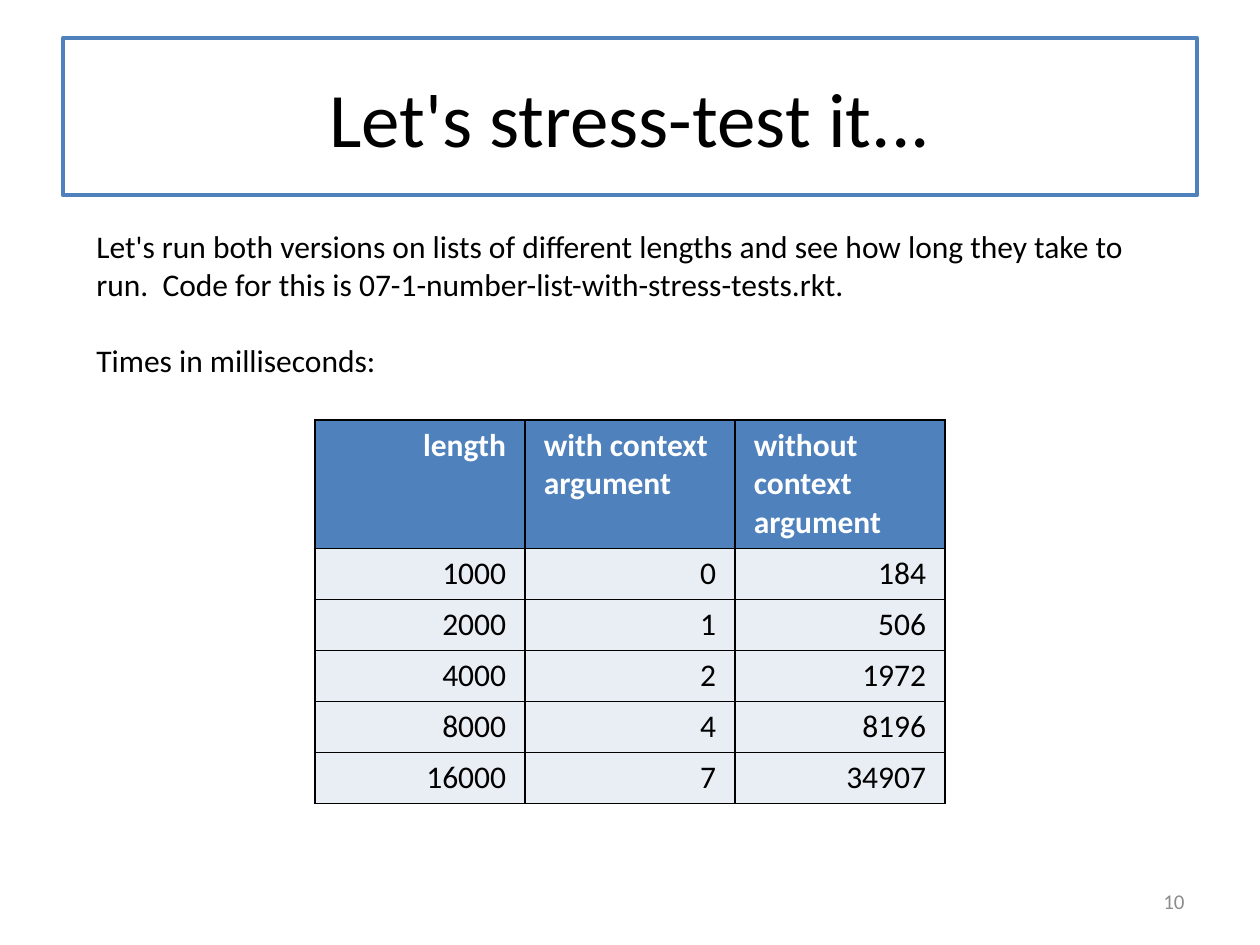
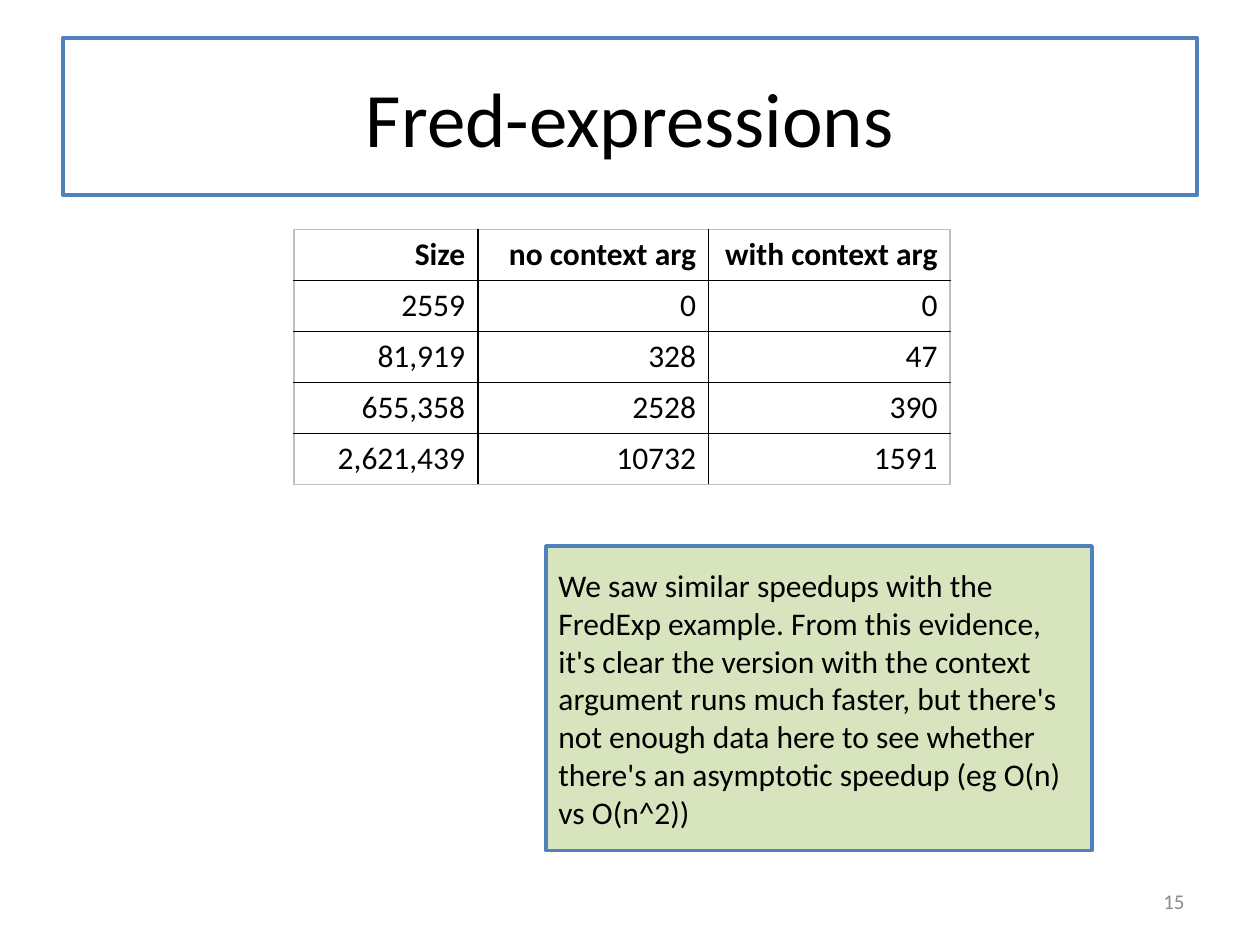
from lxml.etree import SubElement
from pptx import Presentation
from pptx.dml.color import RGBColor
from pptx.enum.shapes import MSO_SHAPE
from pptx.enum.text import MSO_ANCHOR, MSO_AUTO_SIZE, PP_ALIGN
from pptx.oxml.ns import qn
from pptx.util import Inches, Pt

GRID = Inches(10) / 60  # the slide is 60 columns by 45 rows
FONT = "Calibri"
BLACK, WHITE, GREY = "000000", "FFFFFF", "8C8C8C"
BLUE, PALE_BLUE, PALE_GREEN, SILVER = "4F81BD", "E9EDF4", "D7E4BD", "BFBFBF"
LEFT, CENTER, RIGHT = PP_ALIGN.LEFT, PP_ALIGN.CENTER, PP_ALIGN.RIGHT
TITLE_ONLY = 5
ROW_HEIGHT = 2.43

STRESS_TIMES = [
    ("length", "with context argument", "without context argument"),
    ("1000", "0", "184"),
    ("2000", "1", "506"),
    ("4000", "2", "1972"),
    ("8000", "4", "8196"),
    ("16000", "7", "34907"),
]
FRED_TIMES = [
    ("Size", "no context arg", "with context arg"),
    ("2559", "0", "0"),
    ("81,919", "328", "47"),
    ("655,358", "2528", "390"),
    ("2,621,439", "10732", "1591"),
]


def grid(*lengths):
    return [round(length * GRID) for length in lengths]


def color(hex_value):
    return RGBColor.from_string(hex_value)


def apply(target, values):
    for name, value in values.items():
        setattr(target, name, value)


def write(frame, paragraphs, size=18, ink=BLACK, bold=False, align=LEFT,
          anchor=MSO_ANCHOR.TOP, gap=0):
    """Fill a text frame, with gap points between its paragraphs."""
    apply(frame, {"word_wrap": True, "vertical_anchor": anchor})
    for index, text in enumerate(paragraphs):
        para = frame.add_paragraph() if index else frame.paragraphs[0]
        para.alignment = align
        if index:
            para.space_before = Pt(gap)
        span = para.add_run()
        span.text = text
        apply(span.font, {"name": FONT, "size": Pt(size), "bold": bold})
        span.font.color.rgb = color(ink)


def paint(shape, fill, line, width):
    shape.fill.solid()
    shape.fill.fore_color.rgb = color(fill)
    shape.line.color.rgb = color(line)
    shape.line.width = Pt(width)


def add_text(page, area, paragraphs, **style):
    box = page.shapes.add_textbox(*grid(*area))
    write(box.text_frame, paragraphs, **style)


def add_page(deck, title, number):
    page = deck.slides.add_slide(deck.slide_layouts[TITLE_ONLY])
    box = page.shapes.title
    left, top, width, height = grid(3, 1.8, 54, 7.5)
    apply(box, {"left": left, "top": top, "width": width, "height": height})
    paint(box, WHITE, BLUE, 2.25)
    box.text_frame.auto_size = MSO_AUTO_SIZE.NONE
    write(box.text_frame, [title], size=44, align=CENTER, anchor=MSO_ANCHOR.MIDDLE)
    add_text(page, (43, 41.7, 14, 2.4), [number], size=12, ink=GREY,
             align=RIGHT, anchor=MSO_ANCHOR.MIDDLE)
    return page


def add_note(page, area, text):
    box = page.shapes.add_shape(MSO_SHAPE.RECTANGLE, *grid(*area))
    box.shadow.inherit = False
    paint(box, PALE_GREEN, BLUE, 2)
    write(box.text_frame, [text], anchor=MSO_ANCHOR.MIDDLE)


def set_borders(cell, colors):
    """Draw 1 pt edges in left, right, top, bottom order."""
    properties = cell._tc.get_or_add_tcPr()
    for position, (side, hex_value) in enumerate(zip("LRTB", colors)):
        edge = SubElement(properties, qn(f"a:ln{side}"), w=str(Pt(1)))
        SubElement(SubElement(edge, qn("a:solidFill")), qn("a:srgbClr"), val=hex_value)
        properties.insert(position, edge)


def add_times_table(page, left, top, widths, rows, header_height=ROW_HEIGHT,
                    header_aligns=(RIGHT, RIGHT, RIGHT), header_ink=BLACK,
                    header_fill=None, body_fill=None, margin=0.6, outline=BLACK):
    heights = [header_height] + [ROW_HEIGHT] * (len(rows) - 1)
    area = grid(left, top, sum(widths), sum(heights))
    table = page.shapes.add_table(len(rows), len(widths), *area).table
    for column, width in zip(table.columns, grid(*widths)):
        column.width = width
    for row, height in zip(table.rows, grid(*heights)):
        row.height = height

    last_row, last_column = len(rows) - 1, len(widths) - 1
    side_margin, = grid(margin)
    for r, values in enumerate(rows):
        is_header = r == 0
        fill = header_fill if is_header else body_fill
        for c, value in enumerate(values):
            cell = table.cell(r, c)
            apply(cell, {"margin_left": side_margin, "margin_right": side_margin})
            if fill:
                cell.fill.solid()
                cell.fill.fore_color.rgb = color(fill)
            else:
                cell.fill.background()
            write(cell.text_frame, [value], bold=is_header,
                  ink=header_ink if is_header else BLACK,
                  align=header_aligns[c] if is_header else RIGHT)
            outer = (c == 0, c == last_column, r == 0, r == last_row)
            set_borders(cell, [outline if edge else BLACK for edge in outer])


def main():
    deck = Presentation()
    deck.slide_width, deck.slide_height = grid(60, 45)

    stress = add_page(deck, "Let's stress-test it...", "10")
    add_times_table(stress, 15, 20, [10] * 3, STRESS_TIMES, header_height=6.12,
                    header_aligns=(RIGHT, LEFT, LEFT), header_ink=WHITE,
                    header_fill=BLUE, body_fill=PALE_BLUE, margin=0.9)
    add_text(stress, (4, 10.5, 50.5, 7.86), [
        "Let's run both versions on lists of different lengths and see how long "
        "they take to run.  Code for this is 07-1-number-list-with-stress-tests.rkt.",
        "Times in milliseconds:",
    ], gap=22)

    fred = add_page(deck, "Fred-expressions", "15")
    add_times_table(fred, 14, 10.92, [8.75, 11, 11.5], FRED_TIMES, outline=SILVER)
    add_note(fred, (26, 26, 26, 14.5),
             "We saw similar speedups with the FredExp example. From this evidence, "
             "it's clear the version with the context argument runs much faster, but "
             "there's not enough data here to see whether there's an asymptotic "
             "speedup (eg O(n) vs O(n^2))")

    deck.save("out.pptx")


if __name__ == "__main__":
    main()
